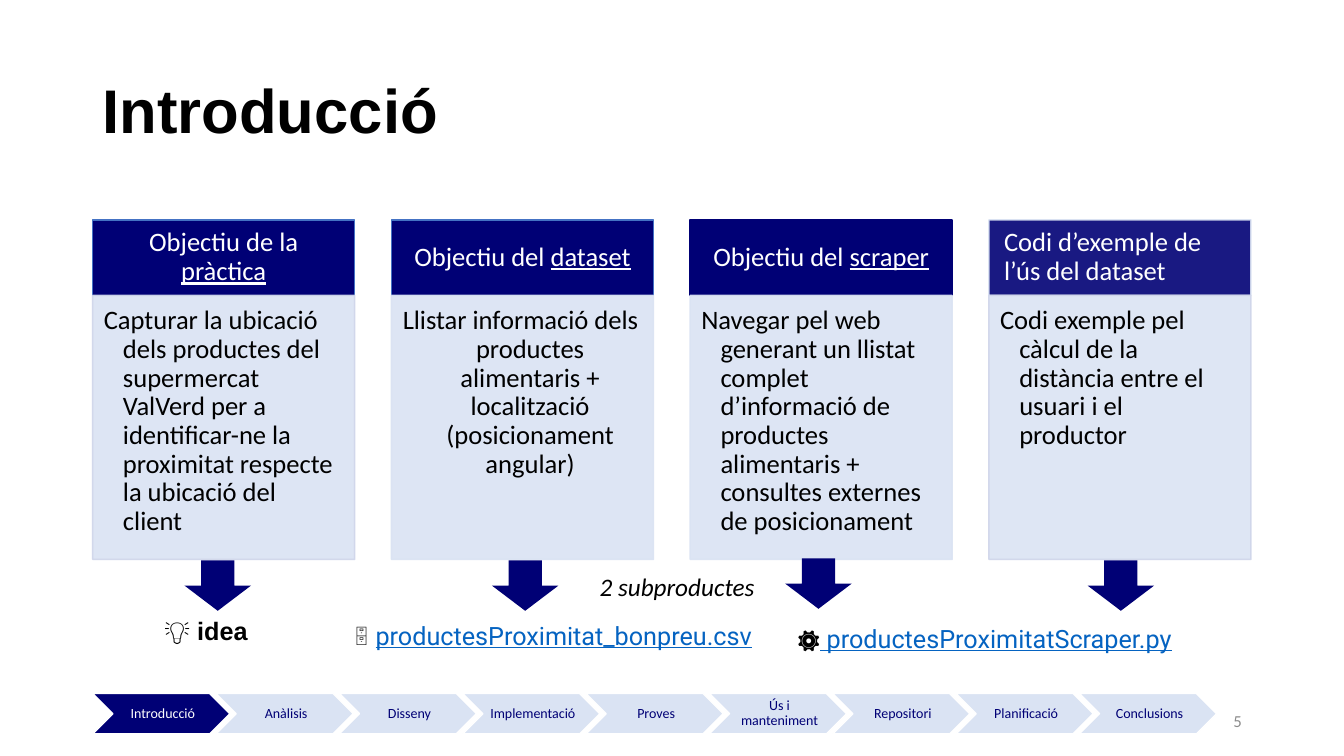
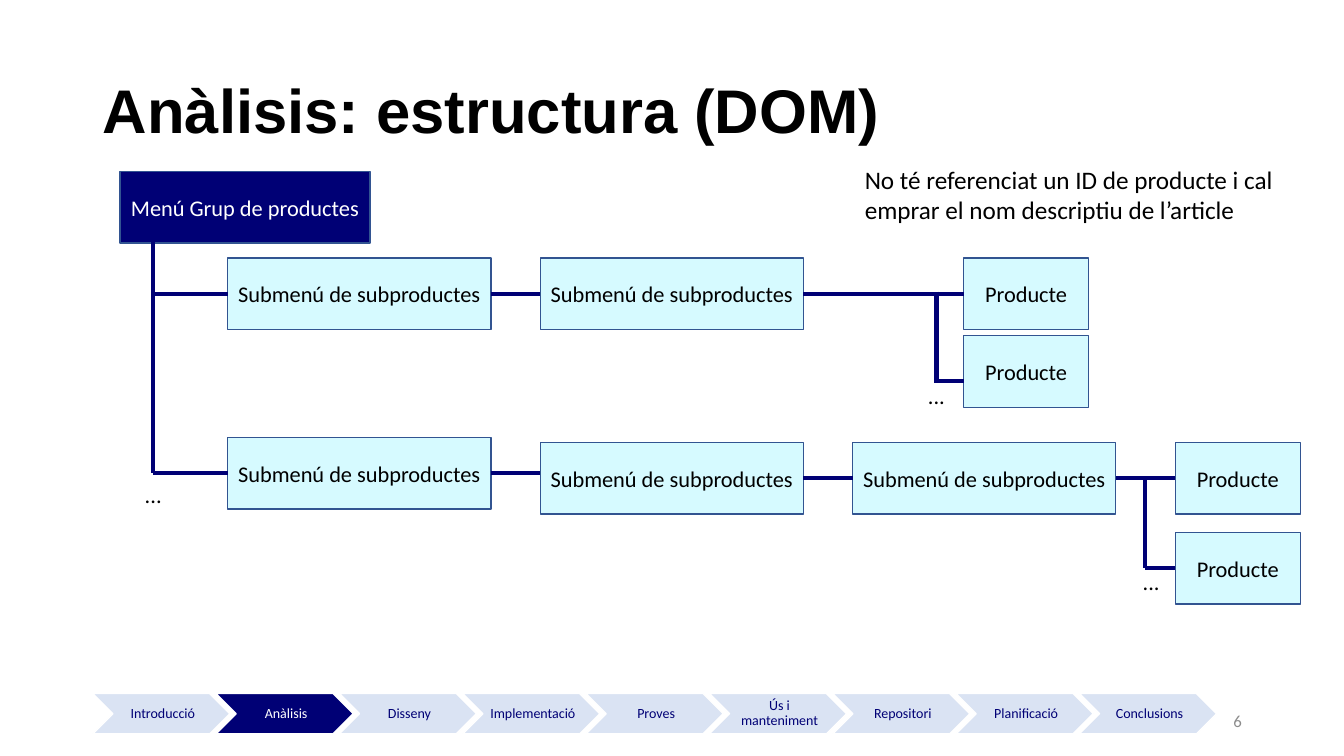
"""Builds two slides on a product scraper: its goals and the menu tree it walks."""
from pptx import Presentation
from pptx.dml.color import RGBColor
from pptx.enum import shapes as es, text as et
from pptx.oxml.ns import qn
from pptx.util import Pt
from lxml import etree

HUES = dict(navy="000075", pale="DAE3F3", mist="DEE6F4", edge="CFD5EA", blue="4472C4",
            rim="325491", aqua="D6FAFF", link="0563C1", gray="8C8C8C",
            white="FFFFFF", black="000000")
KIND = es.MSO_SHAPE
ALIGN = dict(l=et.PP_ALIGN.LEFT, c=et.PP_ALIGN.CENTER, r=et.PP_ALIGN.RIGHT)
MID, TOP = et.MSO_ANCHOR.MIDDLE, et.MSO_ANCHOR.TOP
LEFT, RIGHT = 1, 3
UNDER = dict(under=True)
LINK = dict(font="Roboto", hue="link", bold=False, under=True)

STEPS = ["Introducció", "Anàlisis", "Disseny", "Implementació", "Proves",
         "Ús i manteniment", "Repositori", "Planificació", "Conclusions"]

CARDS = [
    dict(head=["Objectiu de la ", ("pràctica", UNDER)], top=("navy", 100, "blue", 100),
         body="Capturar la ubicació dels productes del supermercat ValVerd per a "
              "identificar-ne la proximitat respecte la ubicació del client",
         low=("pale", 90, "edge", 90)),
    dict(head=["Objectiu del ", ("dataset", UNDER)], top=("navy", 100, "blue", 100),
         body="Llistar informació dels productes alimentaris + localització "
              "(posicionament angular)",
         low=("pale", 90, "pale", 90), side="c"),
    dict(head=["Objectiu del ", ("scraper", UNDER)], top=("navy", 100, "navy", 100),
         body="Navegar pel web generant un llistat complet d’informació de productes "
              "alimentaris + consultes externes de posicionament",
         low=("pale", 90, "pale", 90)),
    dict(head=["Codi d’exemple de l’ús del dataset"], top=("navy", 90, "pale", 90),
         body="Codi exemple pel càlcul de la distància entre el usuari i el productor",
         low=("mist", 100, "edge", 90), lead="l"),
]
ARROWS = [(131.8, 400.3), (351.4, 400.3), (560.9, 398.9), (776.9, 400.3)]
ICON = dict(font="Arial", bold=True)
LABELS = [
    ((562.3, 441.4, 296.6, 28.8), ["⚙", (" productesProximitatScraper.py", LINK)], ICON),
    ((246.2, 439.2, 332.6, 28.8), ["🗄 ", ("productesProximitat_bonpreu.csv", LINK)], ICON),
    ((110.2, 436.3, 84.2, 28.8), ["💡 idea"], ICON),
    ((421.2, 404.6, 240.5, 28.8), ["2 subproductes"], dict(ital=True)),
]

NOTE = "No té referenciat un ID de producte i cal emprar el nom descriptiu de l’article"
SUB, ITEM = ("Submenú de subproductes", 187.9), ("Producte", 89.3)
NODE_H = 51.1
NODES = {
    "menu": (85.7, 122.4, "Menú Grup de productes", 178.6),
    "a1": (162.7, 184.3, *SUB), "a2": (385.9, 184.3, *SUB),
    "a3": (688.3, 184.3, *ITEM), "a4": (688.3, 239.8, *ITEM),
    "b1": (162.7, 312.5, *SUB), "b2": (385.9, 316.1, *SUB), "b3": (609.1, 316.1, *SUB),
    "b4": (839.5, 316.1, *ITEM), "b5": (839.5, 380.2, *ITEM),
}
DOTS = [(86.4, 327.6), (799.2, 389.5), (645.8, 257)]
TRUNK, FORK_A, FORK_B = 109.4, 668.9, 818


def axis(name):
    return NODES[name][1] + NODE_H / 2


LOW_A = 272.2
WIRES = [
    ((TRUNK, 164.9), (TRUNK, axis("b1"))),
    ((TRUNK, axis("a1")), ("a1", LEFT)),
    ((TRUNK, axis("b1")), ("b1", LEFT)),
    (("a1", RIGHT), ("a2", LEFT)),
    (("a2", RIGHT), ("a3", LEFT)),
    (("b1", RIGHT), (NODES["b2"][0], axis("b1"))),
    (("b2", RIGHT), ("b3", LEFT)),
    (("b3", RIGHT), ("b4", LEFT)),
    ((FORK_A, axis("a3") - 1.5), (FORK_A, LOW_A)),
    ((FORK_A - 1.5, LOW_A), (NODES["a4"][0], LOW_A)),
    ((FORK_B, axis("b4")), (FORK_B, axis("b5"))),
    ((FORK_B, axis("b5")), ("b5", LEFT)),
]


def tint(fill, hue, alpha=100):
    fill.solid()
    fill.fore_color.rgb = RGBColor.from_string(HUES[hue])
    if alpha < 100:
        for tag in fill._xPr.iter(qn("a:srgbClr")):
            etree.SubElement(tag, qn("a:alpha")).set("val", str(alpha * 1000))


def write(shape, runs, size=18, font="Calibri", hue="black", bold=False, ital=False,
          under=False, side="l", anchor=TOP, pads=(7.2, 3.6, 7.2, 3.6), space=1.0, hang=0):
    frame = shape.text_frame
    frame.word_wrap, frame.auto_size = True, et.MSO_AUTO_SIZE.NONE
    frame.vertical_anchor = anchor
    (frame.margin_left, frame.margin_top,
     frame.margin_right, frame.margin_bottom) = map(Pt, pads)
    para = frame.paragraphs[0]
    para.alignment, para.line_spacing = ALIGN[side], space
    if hang:
        props = para._p.get_or_add_pPr()
        props.set("marL", str(Pt(hang)))
        props.set("indent", str(-Pt(hang)))
    base = dict(font=font, hue=hue, bold=bold, under=under)
    for part in [runs] if isinstance(runs, str) else runs:
        words, extra = (part, {}) if isinstance(part, str) else part
        look = {**base, **extra}
        run = para.add_run()
        run.text = words
        face = run.font
        face.name, face.size, face.italic = look["font"], Pt(size), ital
        face.bold, face.underline = look["bold"], look["under"]
        face.color.rgb = RGBColor.from_string(HUES[look["hue"]])


def label(slide, box, runs, **look):
    write(slide.shapes.add_textbox(*map(Pt, box)), runs, **look)


def block(slide, kind, box, fill, alpha=100, line=None, fade=100):
    shape = slide.shapes.add_shape(kind, *map(Pt, box))
    shape.shadow.inherit = False
    tint(shape.fill, fill, alpha)
    if line:
        shape.line.width = Pt(1)
        tint(shape.line.fill, line, fade)
    else:
        shape.line.fill.background()
    return shape


def wire(slide, ends, nodes):
    spots = [(0, 0) if end[0] in nodes else end for end in ends]
    line = slide.shapes.add_connector(
        es.MSO_CONNECTOR.STRAIGHT, *(Pt(v) for spot in spots for v in spot))
    for end, join in zip(ends, (line.begin_connect, line.end_connect)):
        if end[0] in nodes:
            join(nodes[end[0]], end[1])
    line.line.width = Pt(3)
    tint(line.line.fill, "navy")
    etree.SubElement(line._element.spPr, qn("a:effectLst"))


def start(deck, title, number, step):
    slide = deck.slides.add_slide(deck.slide_layouts[5])
    head = slide.shapes.title
    head.left, head.top, head.width, head.height = map(Pt, (66.2, 28.8, 828, 104.4))
    write(head, title, size=44, font="Arial", bold=True, anchor=MID, space=0.9)
    label(slide, (678.2, 500.4, 216, 28.8), str(number), size=12, hue="gray",
          side="r", anchor=MID)
    for i, name in enumerate(STEPS):
        fill, ink = ("navy", "white") if i == step else ("pale", "navy")
        mark = block(slide, KIND.CHEVRON, (66.2 + 88.1 * i, 495.4, 98, 28.8), fill, line="white")
        write(mark, name, size=10, hue=ink, side="c", anchor=MID, space=0.9,
              pads=(2.9, 0.7, 0.7, 0.7))
    return slide


def intro(deck):
    slide = start(deck, "Introducció", 5, 0)
    for i, card in enumerate(CARDS):
        x = 66.2 + 213.4 * i
        head = block(slide, KIND.RECTANGLE, (x, 157, 187.2, 54), *card["top"])
        write(head, card["head"], size=19, hue="white", side=card.get("lead", "c"),
              anchor=MID, space=0.9, pads=(10.8, 5.8, 10.8, 5.8))
        body = block(slide, KIND.RECTANGLE, (x, 211, 187.2, 188.6), *card["low"])
        write(body, card["body"], size=19, side=card.get("side", "l"), space=0.9,
              pads=(8, 8, 10.8, 12), hang=13.7)
    for spot in ARROWS:
        block(slide, KIND.DOWN_ARROW, (*spot, 47.5, 36), "navy")
    for box, runs, look in LABELS:
        label(slide, box, runs, **look)


def tree(deck):
    slide = start(deck, "Anàlisis: estructura (DOM)", 6, 1)
    label(slide, (610.6, 113.8, 317.5, 51.1), NOTE)
    nodes = {}
    for name, (x, y, words, wide) in NODES.items():
        fill, ink = ("navy", "white") if name == "menu" else ("aqua", "black")
        nodes[name] = block(slide, KIND.RECTANGLE, (x, y, wide, NODE_H), fill, line="rim")
        write(nodes[name], words, size=16, hue=ink, side="c", anchor=MID)
    for ends in WIRES:
        wire(slide, ends, nodes)
    for spot in DOTS:
        label(slide, (*spot, 46.1, NODE_H), "...", size=16, side="c", anchor=MID)


def main():
    deck = Presentation()
    deck.slide_width, deck.slide_height = Pt(960), Pt(540)
    intro(deck)
    tree(deck)
    deck.save("out.pptx")


if __name__ == "__main__":
    main()
